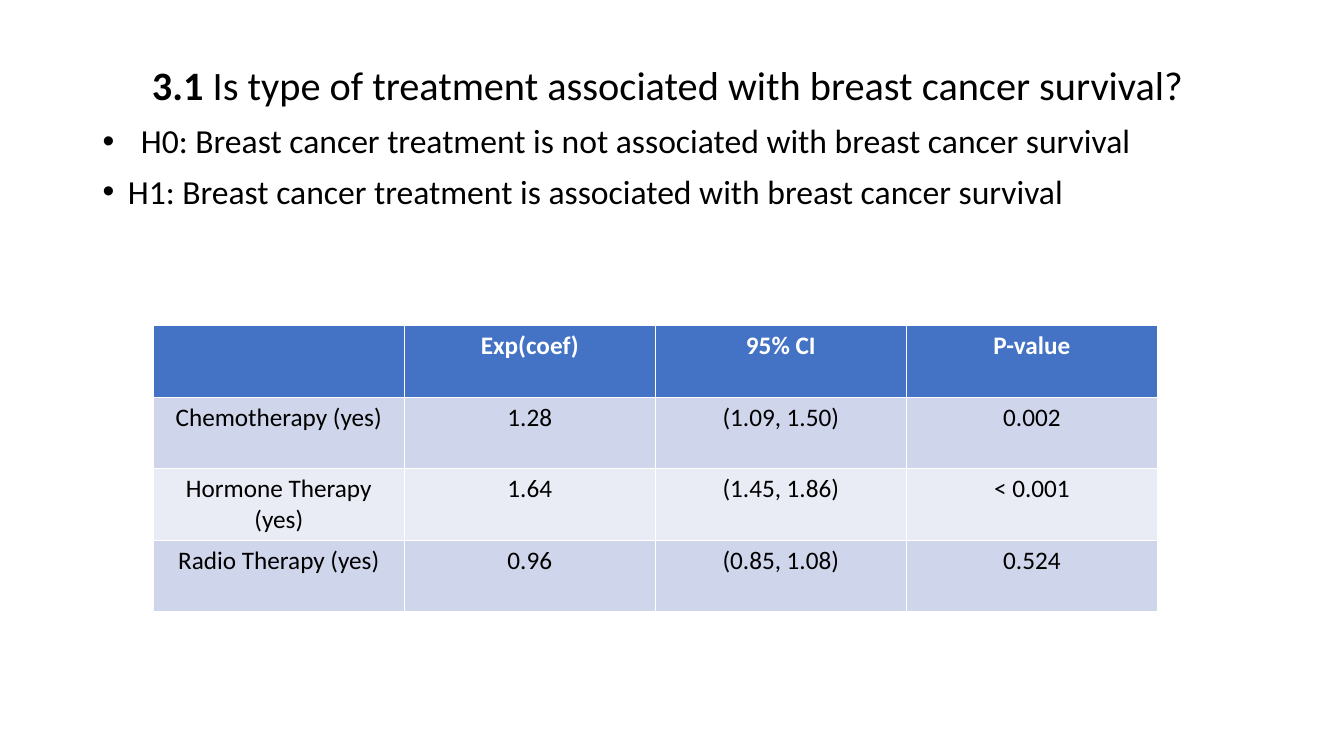
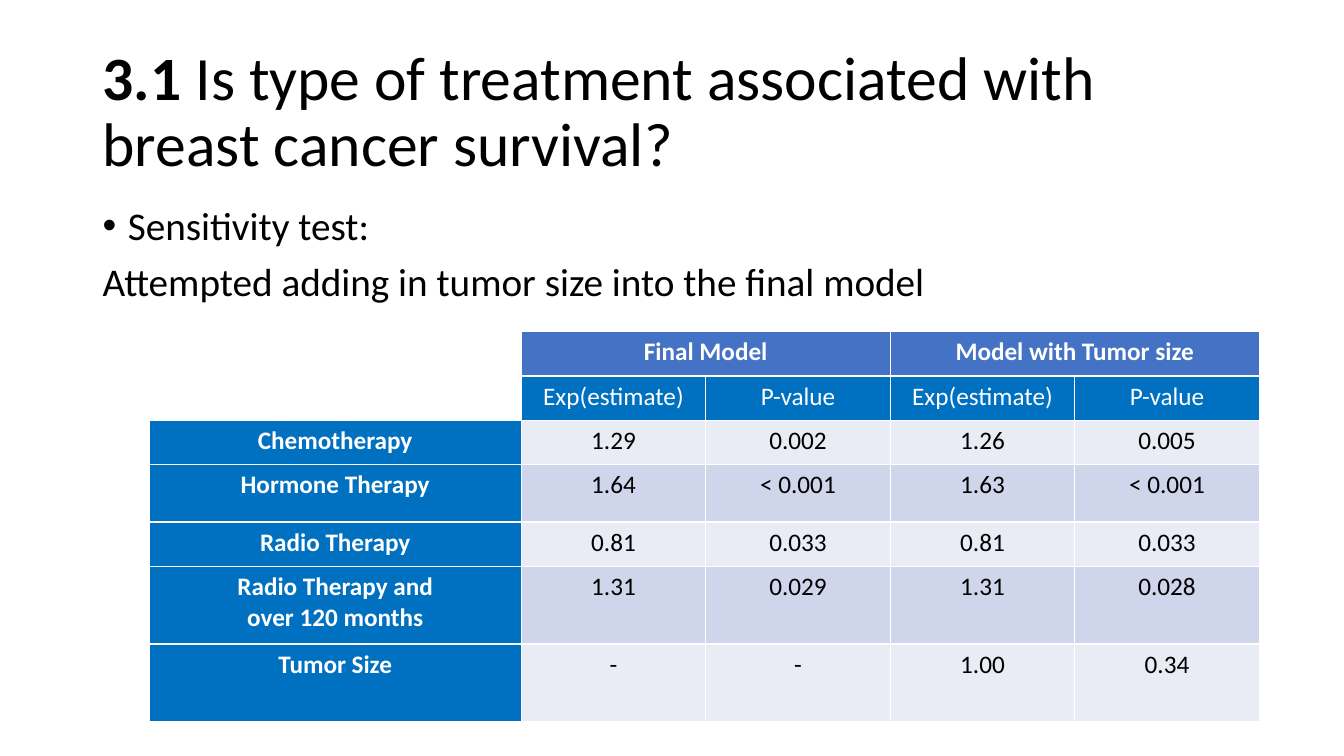
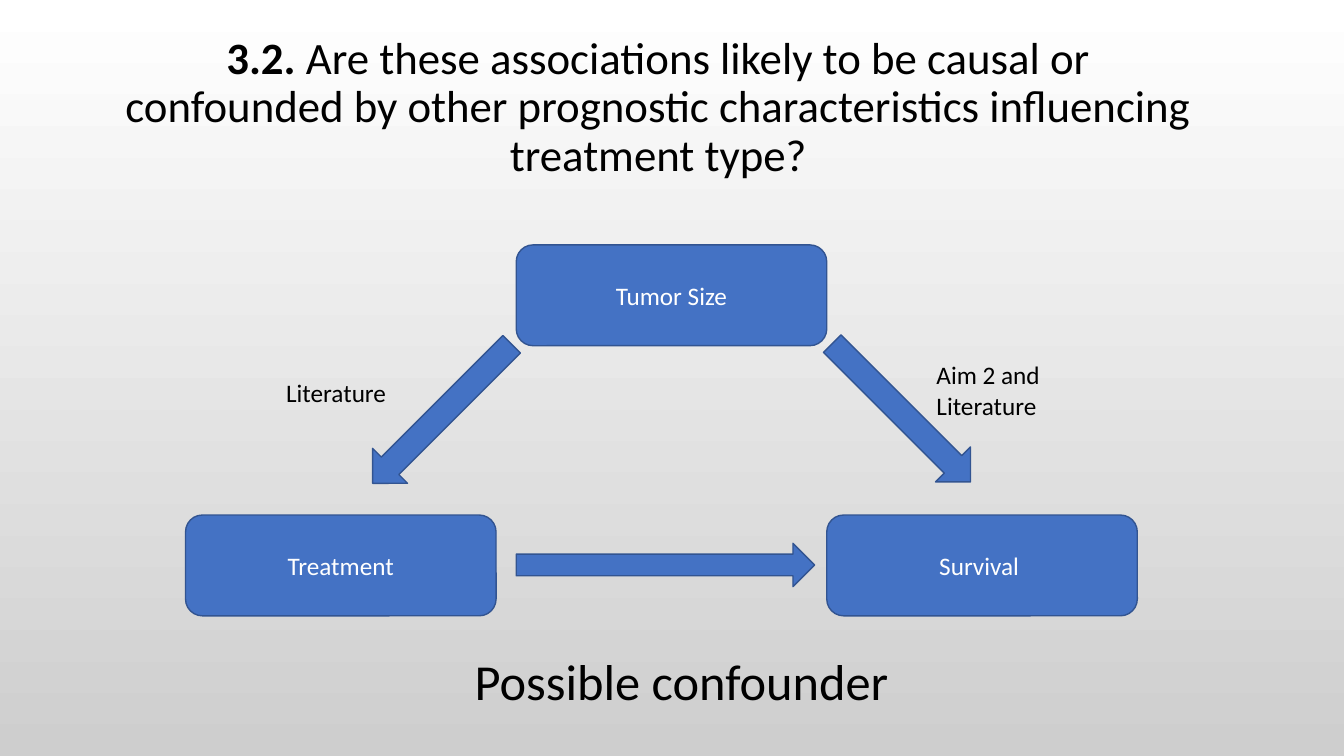
from lxml import etree
from pptx import Presentation
from pptx.dml.color import RGBColor
from pptx.enum.shapes import MSO_SHAPE
from pptx.enum.text import MSO_ANCHOR, PP_ALIGN
from pptx.oxml.ns import qn
from pptx.util import Inches, Pt

FONT = "Calibri"
BLACK, WHITE = "000000", "FFFFFF"
BLUE, DEEP_BLUE, OUTLINE = "4472C4", "0070C0", "325491"
BAND_DARK, BAND_LIGHT = "CFD5EA", "E9EBF5"
GRADIENT = (WHITE, "CECECE")
NBSP = chr(160)

TREATMENT_TITLE = ("3.1", f"{NBSP}Is type of treatment associated with breast cancer survival?{NBSP}")
CAUSAL_TITLE = ("3.2.", f"{NBSP}Are these associations likely to be causal or confounded by other"
                f"{NBSP}prognostic characteristics influencing treatment type?")

# text, hanging indent (0 for no bullet)
HYPOTHESES = [
    ("H0: Breast cancer treatment is not associated with breast cancer survival", 0.38),
    ("H1: Breast cancer treatment is associated with breast cancer survival", 0.25),
]
SENSITIVITY = [
    ("Sensitivity test:", 0.25),
    ("Attempted adding in tumor size into the final model", 0),
]

TREATMENT_ROWS = [
    ("", "Exp(coef)", "95% CI", "P-value"),
    ("Chemotherapy (yes)", "1.28", "(1.09, 1.50)", "0.002"),
    ("Hormone Therapy (yes)", "1.64", "(1.45, 1.86)", "< 0.001"),
    ("Radio Therapy (yes)", "0.96", "(0.85, 1.08)", "0.524"),
]
MODEL_ROWS = [
    ("", "Final Model", "", "Model with Tumor size", ""),
    ("", "Exp(estimate)", "P-value", "Exp(estimate)", "P-value"),
    ("Chemotherapy", "1.29", "0.002", "1.26", "0.005"),
    ("Hormone Therapy", "1.64", "< 0.001", "1.63", "< 0.001"),
    ("Radio Therapy", "0.81", "0.033", "0.81", "0.033"),
    (f"Radio Therapy{NBSP}and over{NBSP}120{NBSP}months", "1.31", "0.029", "1.31", "0.028"),
    ("Tumor Size", "-", "-", "1.00", "0.34"),
]
MODEL_HEIGHTS = [0.44, 0.44, 0.44, 0.57, 0.44, 0.77, 0.77]
MODEL_MERGES = [((0, 0), (1, 0)), ((0, 1), (0, 2)), ((0, 3), (0, 4))]

FACTORS = [("Tumor Size", 5.12, 2.43), ("Treatment", 1.84, 5.11), (f"Survival{NBSP}", 8.2, 5.11)]
FACTOR_SIZE = (3.08, 1)
# left, top, width, height, rotation
ARROWS = [(5.12, 5.39, 2.96, 0.43, 0), (7.97, 3.85, 1.94, 0.49, 45), (3.41, 3.86, 1.95, 0.49, 135)]
# lines, place, size
LABELS = [
    (["Aim 2 and", "Literature"], (9.19, 3.52, 3, 0.71), 18),
    (["Literature"], (2.74, 3.69, 3, 0.4), 18),
    (["Possible confounder"], (4.61, 6.4, 6.07, 0.71), 36),
]


def rgb(value):
    return RGBColor.from_string(value)


def inches(values):
    return [Inches(value) for value in values]


def add_run(paragraph, text, size, color=BLACK, bold=False):
    run = paragraph.add_run()
    run.text = text
    for name, value in {"name": FONT, "size": Pt(size), "bold": bold}.items():
        setattr(run.font, name, value)
    run.font.color.rgb = rgb(color)


def add_frame(slide, place):
    frame = slide.shapes.add_textbox(*inches(place)).text_frame
    frame.word_wrap = True
    return frame


def paragraphs(frame, count):
    return [frame.paragraphs[0]] + [frame.add_paragraph() for _ in range(count - 1)]


def add_title(slide, title, place, size, align=PP_ALIGN.CENTER):
    number, question = title
    frame = add_frame(slide, place)
    frame.vertical_anchor = MSO_ANCHOR.MIDDLE
    heading = frame.paragraphs[0]
    heading.alignment, heading.line_spacing = align, 0.9
    add_run(heading, number, size, bold=True)
    add_run(heading, question, size)


def add_bullet(paragraph, hang):
    properties = paragraph._p.get_or_add_pPr()
    properties.set("marL", str(Inches(hang)))
    properties.set("indent", str(-Inches(hang)))
    etree.SubElement(properties, qn("a:buFont")).set("typeface", "Arial")
    etree.SubElement(properties, qn("a:buChar")).set("char", "•")


def add_body(slide, items, place, size):
    frame = add_frame(slide, place)
    for paragraph, (text, hang) in zip(paragraphs(frame, len(items)), items):
        paragraph.line_spacing, paragraph.space_before = 0.9, Pt(10)
        if hang:
            add_bullet(paragraph, hang)
        add_run(paragraph, text, size)


def add_grid(slide, rows, corner, widths, heights, cell_style, merges=()):
    """Add a table; cell_style(row, column) gives fill, text colour and bold."""
    place = inches((*corner, sum(widths), sum(heights)))
    table = slide.shapes.add_table(len(rows), len(widths), *place).table
    for column, width in zip(table.columns, widths):
        column.width = Inches(width)
    for row, height in zip(table.rows, heights):
        row.height = Inches(height)
    for r, texts in enumerate(rows):
        for c, text in enumerate(texts):
            cell = table.cell(r, c)
            fill, color, bold = cell_style(r, c)
            cell.fill.solid()
            cell.fill.fore_color.rgb = rgb(fill)
            paragraph = cell.text_frame.paragraphs[0]
            paragraph.alignment = PP_ALIGN.CENTER
            if text:
                add_run(paragraph, text, 18, color, bold)
    for first, last in merges:
        table.cell(*first).merge(table.cell(*last))


def treatment_style(row, column):
    if row == 0:
        return BLUE, WHITE, True
    return (BAND_DARK if row % 2 else BAND_LIGHT), BLACK, False


def model_style(row, column):
    if column == 0:
        return (WHITE if row < 2 else DEEP_BLUE), WHITE, True
    if row == 1:
        return DEEP_BLUE, WHITE, False
    return treatment_style(row, column)


def add_block(slide, kind, place):
    block = slide.shapes.add_shape(kind, *inches(place))
    block.shadow.inherit = False
    block.fill.solid()
    block.fill.fore_color.rgb = rgb(BLUE)
    block.line.color.rgb = rgb(OUTLINE)
    block.line.width = Pt(1)
    return block


def build_treatment(slide):
    add_title(slide, TREATMENT_TITLE, (0.92, 0.4, 11.5, 0.93), 28.8)
    add_body(slide, HYPOTHESES, (0.92, 1.19, 11.5, 5.56), 24)
    add_grid(slide, TREATMENT_ROWS, (1.52, 3.23), [2.49] * 4, [0.71] * 4, treatment_style)


def build_sensitivity(slide):
    add_title(slide, TREATMENT_TITLE, (0.92, 0.4, 11.5, 1.45), 44, PP_ALIGN.LEFT)
    add_body(slide, SENSITIVITY, (0.92, 2, 11.5, 4.76), 28)
    add_grid(slide, MODEL_ROWS, (1.48, 3.29), [3.69] + [1.83] * 4, MODEL_HEIGHTS,
             model_style, MODEL_MERGES)


def build_confounder(slide):
    background = slide.background.fill
    background.gradient()
    background.gradient_angle = 270
    for stop, color in zip(background.gradient_stops, GRADIENT):
        stop.color.rgb = rgb(color)
    add_title(slide, CAUSAL_TITLE, (1.05, 0.3, 10.96, 1.55), 32)
    for text, left, top in FACTORS:
        factor = add_block(slide, MSO_SHAPE.ROUNDED_RECTANGLE, (left, top, *FACTOR_SIZE))
        factor.text_frame.vertical_anchor = MSO_ANCHOR.MIDDLE
        paragraph = factor.text_frame.paragraphs[0]
        paragraph.alignment = PP_ALIGN.CENTER
        add_run(paragraph, text, 18, WHITE)
    for *place, rotation in ARROWS:
        add_block(slide, MSO_SHAPE.RIGHT_ARROW, place).rotation = rotation
    for lines, place, size in LABELS:
        frame = add_frame(slide, place)
        for paragraph, line in zip(paragraphs(frame, len(lines)), lines):
            add_run(paragraph, line, size)


def main():
    deck = Presentation()
    deck.slide_width, deck.slide_height = Inches(13.33), Inches(7.5)
    for build in (build_treatment, build_sensitivity, build_confounder):
        build(deck.slides.add_slide(deck.slide_layouts[6]))
    deck.save("out.pptx")


if __name__ == "__main__":
    main()
